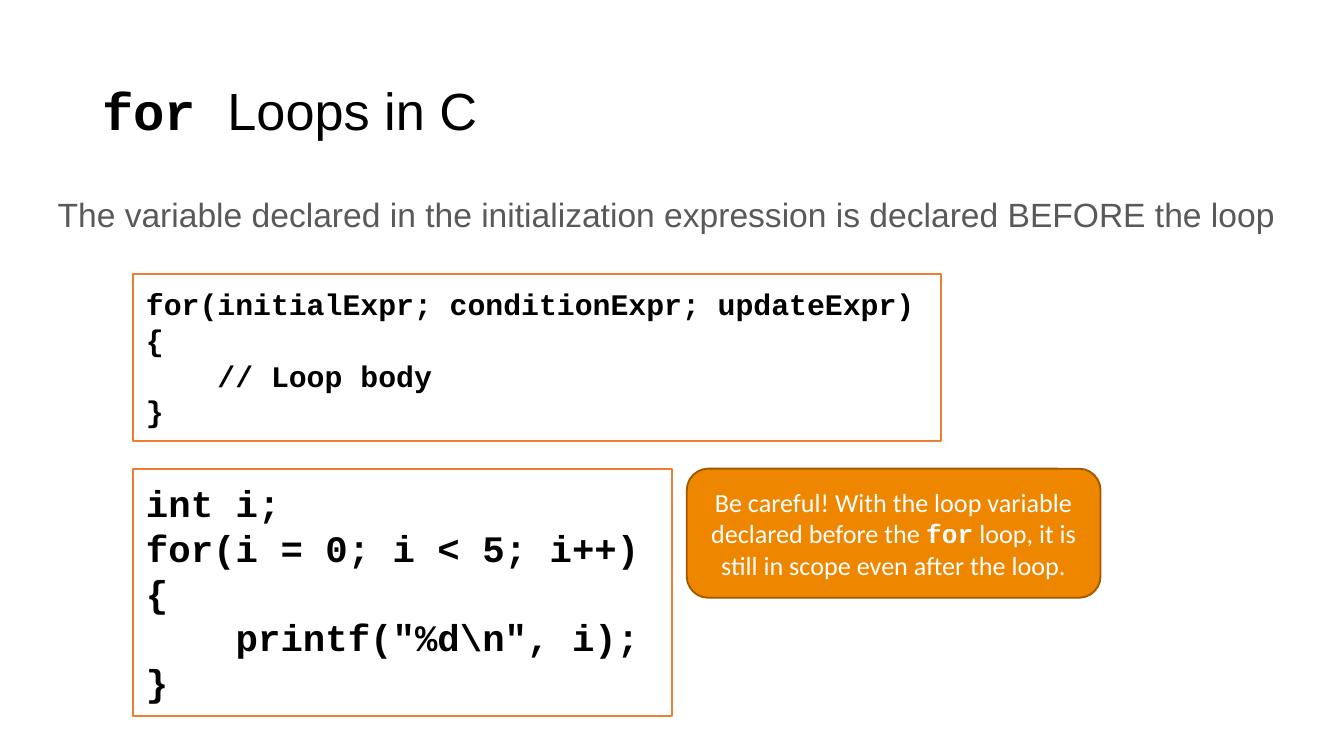
from pptx import Presentation
from pptx.dml.color import RGBColor
from pptx.enum.shapes import MSO_SHAPE as Shape
from pptx.enum.text import MSO_ANCHOR as Anchor, PP_ALIGN as Align
from pptx.util import Cm, Pt

SANS, MONO, ROUNDED = "Arial", "Courier New", "Calibri"
BLACK, GREY, WHITE = "000000", "595959", "FFFFFF"
ORANGE, AMBER, BROWN = "ED7D31", "EF8600", "A05900"

CODE_LEFT = 2.51
EXAMPLE_TOP = 8.86

LOOP_SYNTAX = """for(initialExpr; conditionExpr; updateExpr)
{
    // Loop body
}"""

LOOP_EXAMPLE = r"""int i;
for(i = 0; i < 5; i++)
{
    printf("%d\n", i);
}"""


def color(value):
    return RGBColor.from_string(value)


class SlideWriter:
    """Adds styled elements to one slide; boxes are (left, top, width, height) in cm."""

    def __init__(self, slide):
        self.slide = slide

    def add_run(self, paragraph, text, font_name, size, text_color, bold=False):
        run = paragraph.add_run()
        run.text = text
        font = run.font
        font.name, font.size, font.bold = font_name, Pt(size), bold
        font.color.rgb = color(text_color)

    def set_frame(self, frame, anchor, side=0.25, edge=0.13):
        frame.word_wrap = True
        frame.vertical_anchor = anchor
        frame.margin_left = frame.margin_right = Cm(side)
        frame.margin_top = frame.margin_bottom = Cm(edge)

    def title(self, box, code, words):
        title = self.slide.shapes.title
        title.left, title.top, title.width, title.height = map(Cm, box)
        self.set_frame(title.text_frame, Anchor.MIDDLE, 0.18, 0.1)
        paragraph = title.text_frame.paragraphs[0]
        paragraph.alignment = Align.LEFT
        paragraph.line_spacing = 0.9
        self.add_run(paragraph, code, MONO, 28, BLACK, bold=True)
        self.add_run(paragraph, words, SANS, 28, BLACK)

    def text(self, box, words):
        text_box = self.slide.shapes.add_textbox(*map(Cm, box))
        self.set_frame(text_box.text_frame, Anchor.TOP)
        self.add_run(text_box.text_frame.paragraphs[0], words, SANS, 18, GREY)

    def panel(self, kind, box, line, fill=None):
        shape = self.slide.shapes.add_shape(kind, *map(Cm, box))
        shape.shadow.inherit = False
        if fill:
            shape.fill.solid()
            shape.fill.fore_color.rgb = color(fill)
        else:
            shape.fill.background()
        shape.line.color.rgb = color(line)
        shape.line.width = Pt(1)
        self.set_frame(shape.text_frame, Anchor.MIDDLE)
        return shape

    def code(self, box, source, size):
        frame = self.panel(Shape.RECTANGLE, box, ORANGE).text_frame
        for index, line in enumerate(source.splitlines()):
            paragraph = frame.add_paragraph() if index else frame.paragraphs[0]
            paragraph.alignment = Align.LEFT
            self.add_run(paragraph, line, MONO, size, BLACK, bold=True)

    def callout(self, box, before, code, after):
        shape = self.panel(Shape.ROUNDED_RECTANGLE, box, BROWN, AMBER)
        paragraph = shape.text_frame.paragraphs[0]
        paragraph.alignment = Align.CENTER
        self.add_run(paragraph, before, ROUNDED, 14, WHITE)
        self.add_run(paragraph, code, MONO, 14, WHITE, bold=True)
        self.add_run(paragraph, after, ROUNDED, 14, WHITE)


def main():
    presentation = Presentation()
    presentation.slide_width, presentation.slide_height = Cm(25.4), Cm(14.29)
    title_only = presentation.slide_layouts[5]
    writer = SlideWriter(presentation.slides.add_slide(title_only))

    writer.title((1.75, 0.76, 21.9, 2.77), "for ", "Loops in C")
    writer.code((CODE_LEFT, 5.18, 15.27, 3.15), LOOP_SYNTAX, 16)
    writer.code((CODE_LEFT, EXAMPLE_TOP, 10.19, 4.67), LOOP_EXAMPLE, 20)
    writer.text(
        (0.84, 3.53, 23.7, 1.02),
        "The variable declared in the initialization expression "
        "is declared BEFORE the loop",
    )
    writer.callout(
        (12.98, EXAMPLE_TOP, 7.82, 2.44),
        "Be careful! With the loop variable declared before the ",
        "for",
        " loop, it is still in scope even after the loop.",
    )
    presentation.save("out.pptx")


if __name__ == "__main__":
    main()
